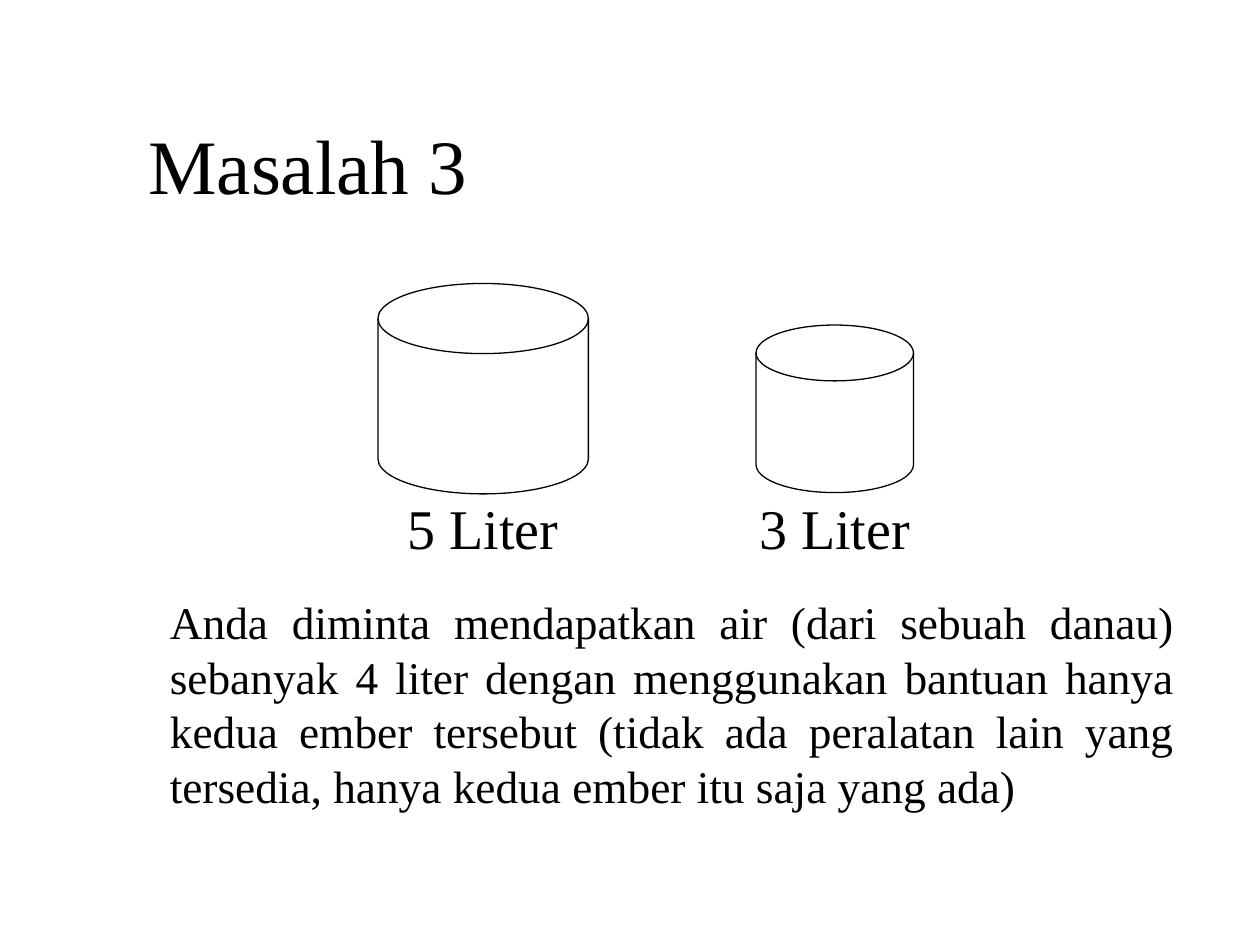
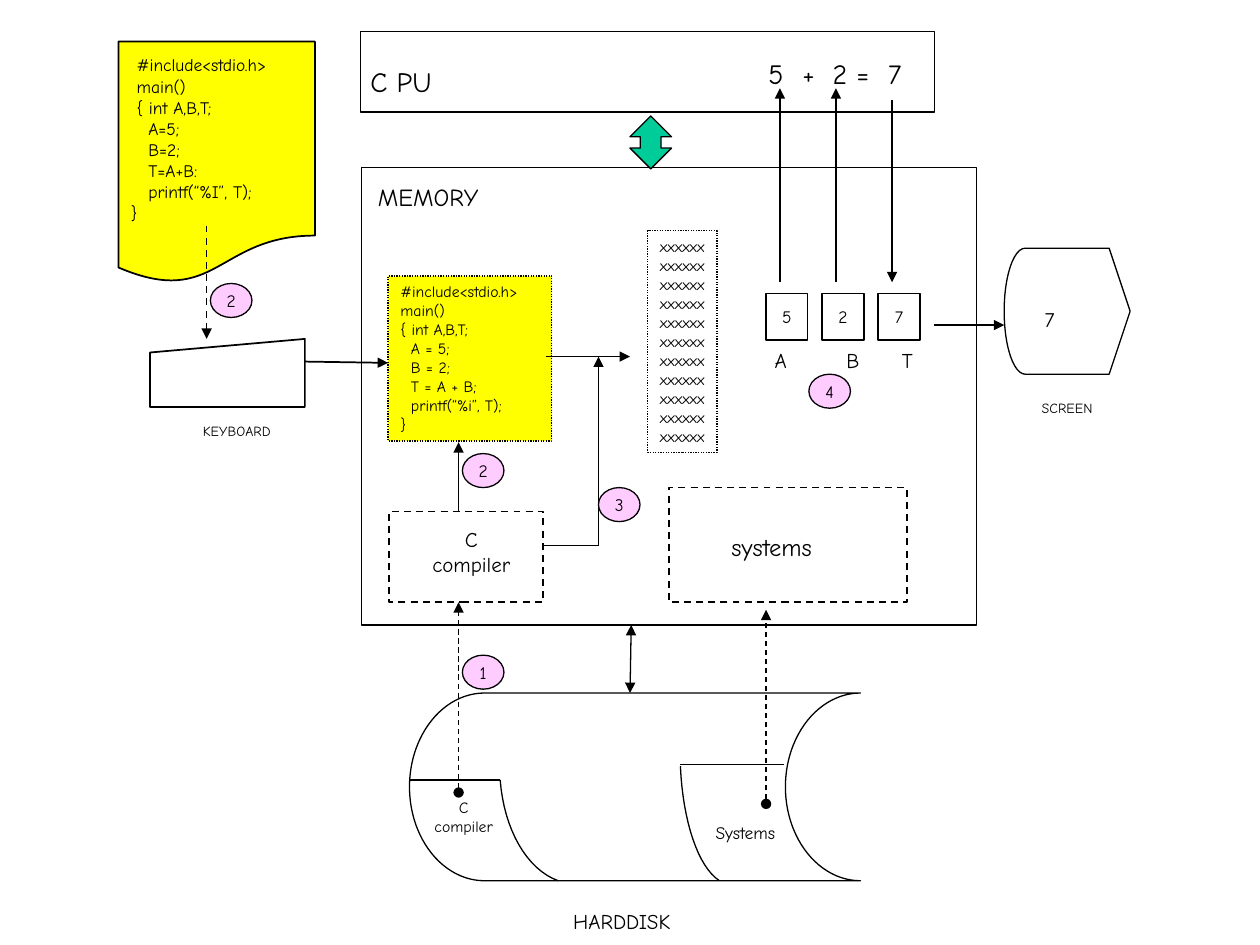
from dataclasses import dataclass
from typing import Optional

from lxml.etree import SubElement
from pptx import Presentation
from pptx.dml.color import RGBColor
from pptx.enum.dml import MSO_LINE
from pptx.enum.shapes import MSO_CONNECTOR, MSO_SHAPE
from pptx.enum.text import MSO_ANCHOR, PP_ALIGN
from pptx.oxml.ns import qn
from pptx.util import Inches, Pt

# Shared look: a grid of 100 columns by 75 rows
SLIDE_WIDTH, SLIDE_HEIGHT = Inches(10), Inches(7.5)
COLUMN, ROW = SLIDE_WIDTH / 100, SLIDE_HEIGHT / 75
BLACK = RGBColor(0x00, 0x00, 0x00)
YELLOW = RGBColor(0xFF, 0xFF, 0x00)
PINK = RGBColor(0xFF, 0xCC, 0xFF)
GREEN = RGBColor(0x00, 0xCC, 0x99)
SERIF, HAND = "Times New Roman", "Comic Neue"
THIN, THICK = 0.75, 1


@dataclass(frozen=True)
class Area:
    left: float
    top: float
    width: float
    height: float

    def emu(self) -> tuple:
        return (round(self.left * COLUMN), round(self.top * ROW),
                round(self.width * COLUMN), round(self.height * ROW))


@dataclass(frozen=True)
class Label:
    text: str
    area: Area
    size: float
    align: PP_ALIGN = PP_ALIGN.CENTER


@dataclass(frozen=True)
class Part:
    kind: MSO_SHAPE
    area: Area
    weight: float = THIN
    dash: Optional[MSO_LINE] = None
    fill: Optional[RGBColor] = None


@dataclass(frozen=True)
class Link:
    start: tuple
    end: tuple
    weight: float = THIN
    dash: Optional[MSO_LINE] = None
    head: str = ""
    tail: str = "triangle"


# Drawing functions
def write(shape, text: str, *, size: float, font: str = HAND,
          align: PP_ALIGN = PP_ALIGN.CENTER, wrap: bool = False,
          anchor: MSO_ANCHOR = MSO_ANCHOR.MIDDLE, tabs: tuple = ()) -> None:
    frame = shape.text_frame
    frame.word_wrap = wrap
    frame.vertical_anchor = anchor
    for index, line in enumerate(text.split("\n")):
        paragraph = frame.paragraphs[0] if index == 0 else frame.add_paragraph()
        paragraph.alignment = align
        if tabs:
            stops = SubElement(paragraph._p.get_or_add_pPr(), qn("a:tabLst"))
            for stop in tabs:
                SubElement(stops, qn("a:tab"), pos=str(round(stop * COLUMN)), algn="l")
        run = paragraph.add_run()
        run.text = line
        run.font.name, run.font.size = font, Pt(size)
        run.font.color.rgb = BLACK


def add_text(slide, text: str, area: Area, **style) -> None:
    write(slide.shapes.add_textbox(*area.emu()), text, **style)


def outline(shape, weight: float, dash: Optional[MSO_LINE] = None) -> None:
    shape.line.color.rgb = BLACK
    shape.line.width = Pt(weight)
    if dash is not None:
        shape.line.dash_style = dash


def draw_part(slide, part: Part):
    shape = slide.shapes.add_shape(part.kind, *part.area.emu())
    shape.shadow.inherit = False
    if part.fill is None:
        shape.fill.background()
    else:
        shape.fill.solid()
        shape.fill.fore_color.rgb = part.fill
    outline(shape, part.weight, part.dash)
    return shape


def draw_link(slide, link: Link) -> None:
    (x1, y1), (x2, y2) = link.start, link.end
    connector = slide.shapes.add_connector(
        MSO_CONNECTOR.STRAIGHT, round(x1 * COLUMN), round(y1 * ROW),
        round(x2 * COLUMN), round(y2 * ROW))
    outline(connector, link.weight, link.dash)
    line = connector.line._get_or_add_ln()
    for tag, arrowhead in (("a:headEnd", link.head), ("a:tailEnd", link.tail)):
        if arrowhead:
            SubElement(line, qn(tag), type=arrowhead)
    SubElement(connector._element.spPr, qn("a:effectLst"))


def draw_curve(slide, *controls: tuple, steps: int = 16) -> None:
    """Draw a cubic Bezier curve through four control points."""
    points = []
    for step in range(steps + 1):
        t = step / steps
        weights = ((1 - t) ** 3, 3 * t * (1 - t) ** 2, 3 * t * t * (1 - t), t ** 3)
        x, y = (sum(w * c[axis] for w, c in zip(weights, controls)) for axis in (0, 1))
        points.append((round(x * COLUMN), round(y * ROW)))
    builder = slide.shapes.build_freeform(*points[0])
    builder.add_line_segments(points[1:], close=False)
    curve = builder.convert_to_shape()
    curve.shadow.inherit = False
    curve.fill.background()
    outline(curve, THIN)


# Slide 1: the bucket problem
TASK = ("Anda diminta mendapatkan air (dari sebuah danau) sebanyak 4 liter dengan "
        "menggunakan bantuan hanya kedua ember tersebut (tidak ada peralatan lain "
        "yang tersedia, hanya kedua ember itu saja yang ada)")
BUCKETS = {"5 Liter": Area(30, 22.5, 16.7, 16.7), "3 Liter": Area(60, 25.8, 12.5, 13.3)}
BUCKET_LABEL_WIDTH = 16.7


def build_problem(slide) -> None:
    add_text(slide, "Masalah 3", Area(10.8, 6.7, 81.7, 12.5), size=44, font=SERIF,
             align=PP_ALIGN.LEFT, wrap=True)
    for volume, area in BUCKETS.items():
        draw_part(slide, Part(MSO_SHAPE.FLOWCHART_MAGNETIC_DISK, area))
        left = area.left + (area.width - BUCKET_LABEL_WIDTH) / 2
        add_text(slide, volume, Area(left, 38.7, BUCKET_LABEL_WIDTH, 6.7), size=32,
                 font=SERIF, anchor=MSO_ANCHOR.TOP, wrap=True)
    add_text(slide, TASK, Area(12.5, 46.7, 81.7, 19.7), size=25.9, font=SERIF,
             align=PP_ALIGN.JUSTIFY, anchor=MSO_ANCHOR.TOP, wrap=True)


# Slide 2: how a program runs in the computer
TYPED_CODE = """ #include<stdio.h>
 main()
 { int A,B,T;
   A=5;
   B=2;
   T=A+B:
   printf(“%I”, T);
}"""
LOADED_CODE = """#include<stdio.h>
main()
{ int A,B,T;
  A = 5;
  B = 2;
  T = A + B;
  printf(“%i”, T);
}"""
MACHINE_CODE = "\n".join(["xxxxxx"] * 11)

SOURCE_PAPER = Part(MSO_SHAPE.FLOWCHART_DOCUMENT, Area(9.4, 3.3, 15.6, 19.2), THICK, fill=YELLOW)
LOADED_BOX = Part(MSO_SHAPE.RECTANGLE, Area(30.8, 21.9, 13, 13.1),
                  dash=MSO_LINE.ROUND_DOT, fill=YELLOW)
MACHINE_BOX = Part(MSO_SHAPE.RECTANGLE, Area(51.4, 18.3, 5.5, 17.6), dash=MSO_LINE.ROUND_DOT)
SCREEN = Part(MSO_SHAPE.FLOWCHART_DISPLAY, Area(79.7, 19.7, 10, 10))
BUS = Part(MSO_SHAPE.UP_DOWN_ARROW, Area(50, 9.2, 3.3, 4.2), fill=GREEN)
DEVICES = [
    Part(MSO_SHAPE.FLOWCHART_MANUAL_INPUT, Area(11.9, 26.9, 12.3, 5.4), THICK),
    Part(MSO_SHAPE.RECTANGLE, Area(28.7, 13.3, 48.8, 36.3), THICK),
    Part(MSO_SHAPE.RECTANGLE, Area(53.1, 38.7, 18.9, 9.1), THICK, MSO_LINE.DASH),
    Part(MSO_SHAPE.RECTANGLE, Area(30.9, 40.6, 12.2, 7.2), THICK, MSO_LINE.DASH),
    Part(MSO_SHAPE.RECTANGLE, Area(28.6, 2.5, 45.6, 6.4)),
    Part(MSO_SHAPE.FLOWCHART_STORED_DATA, Area(32.5, 55, 35.8, 14.9)),
]
LABELS = [
    Label("C\ncompiler", Area(33.3, 41.3, 8.2, 5), 12),
    Label("systems", Area(56.9, 41.7, 8.7, 3.4), 14),
    Label("A", Area(60.5, 27.1, 2.9, 3), 12),
    Label("B", Area(66.2, 27.1, 3, 3), 12),
    Label("T", Area(70.6, 27.1, 2.8, 3), 12),
    Label("7", Area(81.9, 23.8, 2.8, 3), 12),
    Label("C PU", Area(28.4, 4.6, 6.9, 3.7), 16, PP_ALIGN.LEFT),
    Label("MEMORY", Area(29, 13.9, 10, 3.4), 14, PP_ALIGN.LEFT),
    Label("SCREEN", Area(80.7, 31.2, 8, 2.4), 8),
    Label("KEYBOARD", Area(15.1, 33, 7.4, 2.4), 8),
    Label("Systems", Area(55.6, 64.7, 7.1, 2.7), 10),
    Label("C\ncompiler", Area(32.5, 62.8, 8.6, 4), 9),
    Label("HARDDISK", Area(44.5, 71.6, 9.7, 3), 12),
]
LINKS = [
    Link((24.2, 28.7), (30.8, 28.8), THICK),
    Link((50, 55), (50.1, 49.6), head="triangle"),
    Link((36.4, 62.9), (36.4, 47.8), dash=MSO_LINE.DASH, head="oval"),
    Link((60.8, 63.8), (60.8, 48.4), dash=MSO_LINE.DASH, head="oval"),
    Link((16.4, 17.9), (16.4, 26.9), THICK, MSO_LINE.DASH),
    Link((74.1, 25.8), (79.7, 25.8), THICK),
    Link((36.4, 40.6), (36.4, 35.1)),
    Link((43.1, 43.3), (47.5, 43.3), tail=""),
    Link((47.5, 43.3), (47.5, 28.3)),
    Link((43.3, 28.3), (50, 28.3)),
    Link((54, 60.7), (62.2, 60.7), tail=""),
    Link((32.5, 61.9), (39.7, 61.9), tail=""),
]
DISK_CURVES = [
    ((57.1, 69.9), (55.4, 68.8), (54.2, 65.2), (54, 60.8)),
    ((44.3, 69.9), (41.8, 69), (40, 65.8), (39.7, 61.9)),
]
STEPS = [("2", 16.7, 22.5), ("1", 36.7, 52), ("2", 36.7, 36), ("3", 47.5, 38.7), ("4", 64.2, 29.7)]
REGISTER_LEFT, REGISTER_STEP, REGISTER_SIDE = 60.8, 4.45, 3.3
CPU_LINK_LEFT, CPU_LINK_FOOT = 61.9, 22.4


def build_computer(slide) -> None:
    # Devices and the programs held in them
    for device in DEVICES:
        draw_part(slide, device)
    write(draw_part(slide, SOURCE_PAPER), TYPED_CODE, size=10, align=PP_ALIGN.LEFT, wrap=True)
    write(draw_part(slide, LOADED_BOX), LOADED_CODE, size=9, align=PP_ALIGN.LEFT,
          anchor=MSO_ANCHOR.TOP, wrap=True)
    write(draw_part(slide, MACHINE_BOX), MACHINE_CODE, size=9)
    draw_part(slide, SCREEN)._element.spPr.xfrm.set("flipH", "1")
    draw_part(slide, BUS).adjustments[0] = 0.25
    for curve in DISK_CURVES:
        draw_curve(slide, *curve)

    # Registers A, B, T with their links to the CPU
    for index, value in enumerate("527"):
        offset = index * REGISTER_STEP
        area = Area(REGISTER_LEFT + offset, 23.3, REGISTER_SIDE, 3.7)
        write(draw_part(slide, Part(MSO_SHAPE.RECTANGLE, area, THICK)), value, size=10)
        x = CPU_LINK_LEFT + offset
        register, cpu = (x, CPU_LINK_FOOT), (x, 7)
        is_result = value == "7"
        draw_link(slide, Link((x, 7.9), register) if is_result else Link(register, cpu))
    add_text(slide, "5\t+\t2 =\t7", Area(60, 4, 12.6, 3.7), size=16, wrap=True,
             align=PP_ALIGN.LEFT, tabs=(2.7, 5.1, 9.5))

    # Links, labels and numbered steps
    for link in LINKS:
        draw_link(slide, link)
    for label in LABELS:
        add_text(slide, label.text, label.area, size=label.size, align=label.align)
    for number, left, top in STEPS:
        badge = Part(MSO_SHAPE.OVAL, Area(left, top, 3.3, 2.7), fill=PINK)
        write(draw_part(slide, badge), number, size=10)


def main() -> None:
    deck = Presentation()
    deck.slide_width, deck.slide_height = SLIDE_WIDTH, SLIDE_HEIGHT
    blank = deck.slide_layouts[6]
    for build in (build_problem, build_computer):
        build(deck.slides.add_slide(blank))
    deck.save("out.pptx")


if __name__ == "__main__":
    main()
